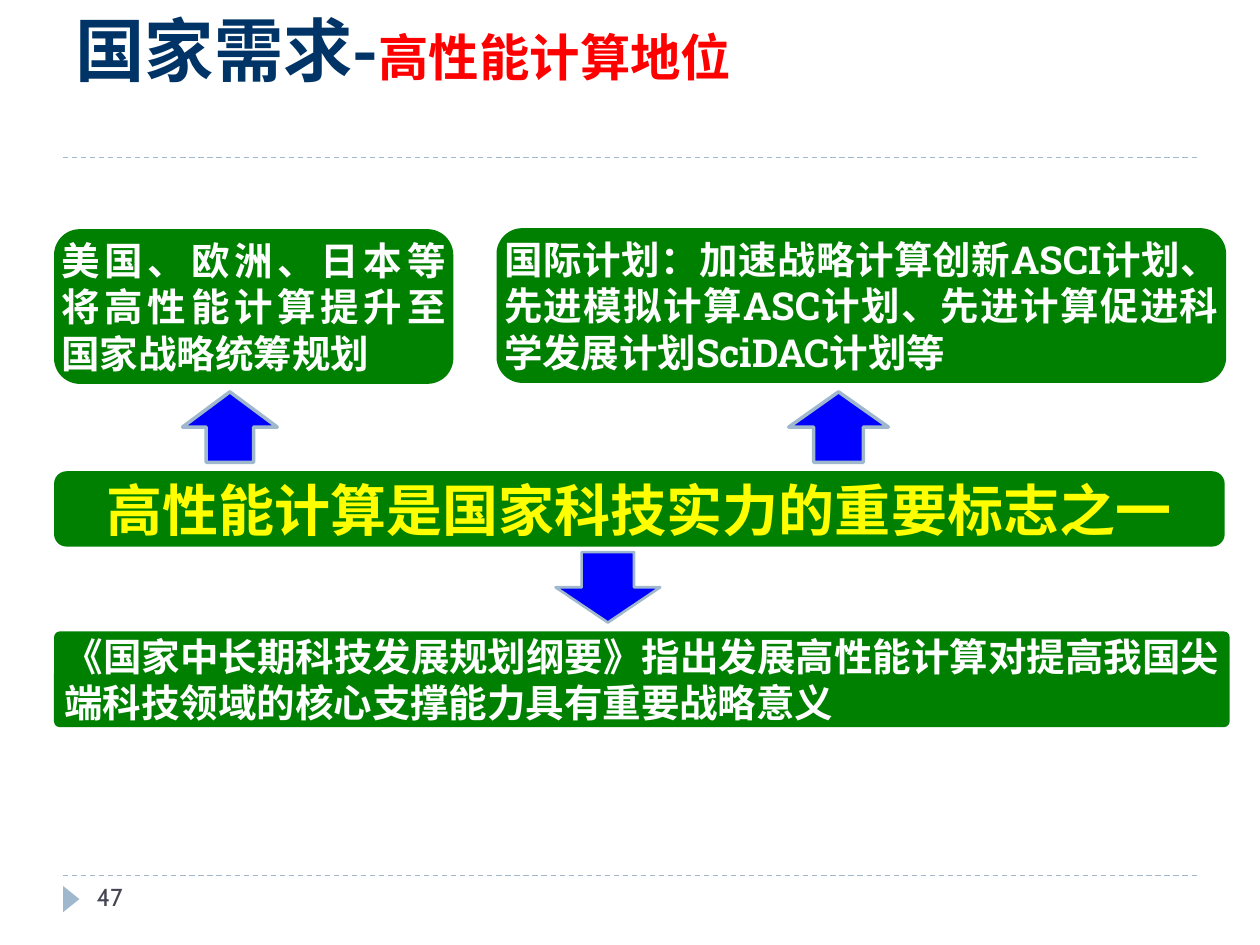
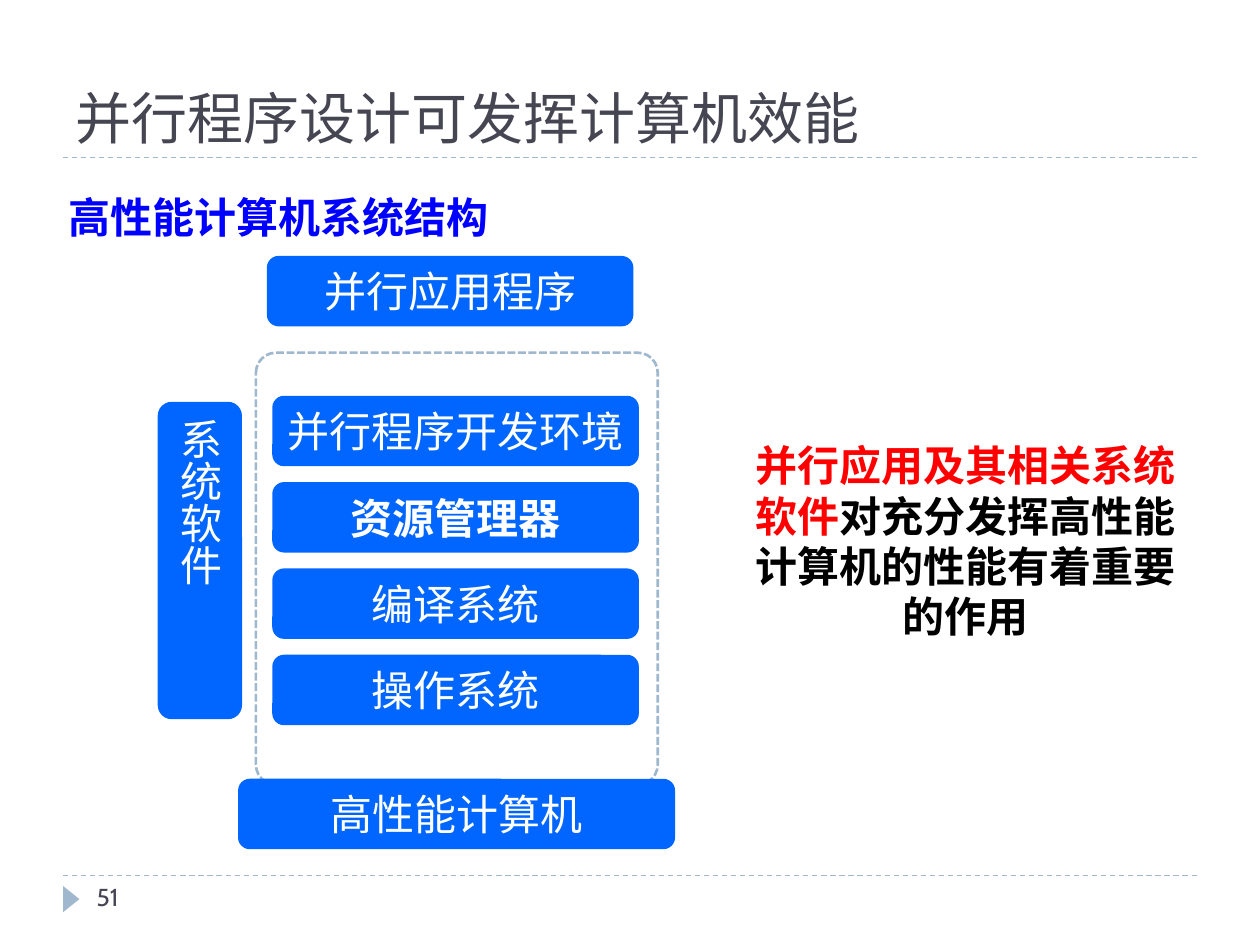
"""Build two slides on the role of high-performance computing."""
from lxml import etree
from pptx import Presentation
from pptx import util as u
from pptx.dml import color
from pptx.enum import dml, shapes, text
from pptx.oxml import ns

CJK, SLAB = "Noto Sans CJK SC", "Roboto Slab"
MIST, INK, GREEN, BLUE = "9FB8CD", "464653", "008000", "0066FF"
PURE_BLUE, RED, WHITE = "0000FF", "FF0000", "FFFFFF"
TITLE_BOX = (1.27, 0.43, 22.86, 2.74)
FOOT_Y, HEAD_Y = 17.65, 3.18
ALIGN, ANCHOR, SHAPE = text.PP_ALIGN, text.MSO_ANCHOR, shapes.MSO_SHAPE
FRAME_FORMAT = {"word_wrap": True, "auto_size": text.MSO_AUTO_SIZE.NONE}
NO_INSET = dict.fromkeys(
    ("margin_left", "margin_top", "margin_right", "margin_bottom"), 0)


def rgb(hex_code):
    """Turn a hex string into a colour."""
    return color.RGBColor.from_string(hex_code)


def cm(values):
    """Turn a row of centimetre values into lengths."""
    return [u.Cm(value) for value in values]


def apply(target, values):
    """Set every attribute named in a dict."""
    for name, value in values.items():
        setattr(target, name, value)


def run(words, size, ink, latin=CJK, bold=False):
    """Describe one stretch of text."""
    return {"words": words, "size": u.Pt(size), "ink": ink,
            "latin": latin, "bold": bold}


def write(frame, runs, align=ALIGN.LEFT, **frame_format):
    """Fill a text frame with one paragraph of runs."""
    apply(frame, FRAME_FORMAT | frame_format)
    paragraph = frame.paragraphs[0]
    paragraph.alignment = align
    paragraph._p.get_or_add_pPr().set("hangingPunct", "0")
    for part in runs:
        piece = paragraph.add_run()
        piece.text = part["words"]
        apply(piece.font, {"name": part["latin"], "size": part["size"],
                           "bold": part["bold"]})
        piece.font.color.rgb = rgb(part["ink"])
        east_asian = etree.SubElement(piece.font._element, ns.qn("a:ea"))
        east_asian.set("typeface", CJK)


def block(slide, kind, box, fill=None, edge=None, weight=0, corner=None):
    """Draw a preset shape."""
    shape = slide.shapes.add_shape(kind, *cm(box))
    shape.shadow.inherit = False
    if fill:
        shape.fill.solid()
        shape.fill.fore_color.rgb = rgb(fill)
    else:
        shape.fill.background()
    if edge:
        shape.line.color.rgb = rgb(edge)
        shape.line.width = u.Pt(weight)
    else:
        shape.line.fill.background()
    if corner is not None:
        shape.adjustments[0] = corner
    return shape


def label(slide, box, runs, align=ALIGN.LEFT):
    """Place free text."""
    write(slide.shapes.add_textbox(*cm(box)).text_frame, runs, align)


def statement(slide, box, runs, align=ALIGN.JUSTIFY, corner=None, inset=0):
    """Draw a green box that holds a statement."""
    panel = block(slide, SHAPE.ROUNDED_RECTANGLE, box, GREEN, corner=corner)
    margins = NO_INSET | {"margin_left": u.Cm(inset),
                          "margin_right": u.Cm(inset)}
    write(panel.text_frame, runs, align, vertical_anchor=ANCHOR.MIDDLE, **margins)


def layer(slide, box, words, bold=False):
    """Draw one blue layer of the system."""
    panel = block(slide, SHAPE.ROUNDED_RECTANGLE, box, BLUE)
    write(panel.text_frame, [run(words, 24, WHITE, bold=bold)], ALIGN.CENTER,
          vertical_anchor=ANCHOR.MIDDLE, word_wrap=False)
    return panel


def rule(slide, y):
    """Draw a dashed line across the slide."""
    line = slide.shapes.add_connector(
        shapes.MSO_CONNECTOR.STRAIGHT, *cm((1.27, y, 24.13, y)))
    line.line.color.rgb = rgb(MIST)
    apply(line.line, {"width": u.Pt(0.75), "dash_style": dml.MSO_LINE.DASH})
    etree.SubElement(line._element.spPr, ns.qn("a:effectLst"))


def start_slide(deck, title_runs, number, title_bottom=0.13):
    """Add a slide with its title, rules, marker and number."""
    slide = deck.slides.add_slide(deck.slide_layouts[5])
    rule(slide, FOOT_Y)
    rule(slide, HEAD_Y)
    marker = block(slide, SHAPE.ISOSCELES_TRIANGLE,
                   (1.17, 17.96, 0.53, 0.33), MIST)
    marker.rotation = 90
    title = slide.shapes.title
    apply(title, dict(zip(("left", "top", "width", "height"), cm(TITLE_BOX))))
    write(title.text_frame, title_runs, vertical_anchor=ANCHOR.BOTTOM,
          margin_top=0, margin_bottom=u.Cm(title_bottom))
    label(slide, (1.7, FOOT_Y, 5.51, 1.02), [run(number, 14, INK, "Cabin")])
    return slide


def national_need(deck):
    """Build the slide on national demand."""
    slide = start_slide(deck, [run("国家需求-", 39.6, "003366", bold=True),
                               run("高性能计算地位", 28.8, RED, bold=True)],
                        "47", title_bottom=1.35)
    statement(slide, (1.09, 4.62, 8.05, 3.12), [
        run("美国、欧洲、日本等将高性能计算提升至国家战略统筹规划",
            22, WHITE, bold=True)])
    programmes = (("国际计划：加速战略计算创新", CJK), ("ASCI", SLAB),
                  ("计划、先进模拟计算", CJK), ("ASC", SLAB),
                  ("计划、先进计算促进科学发展计划", CJK), ("SciDAC", SLAB),
                  ("计划等", CJK))
    statement(slide, (10.01, 4.6, 14.71, 3.12), [
        run(words, 22, WHITE, latin, True) for words, latin in programmes])
    statement(slide, (1.09, 9.5, 23.6, 1.52), [
        run("高性能计算是国家科技实力的重要标志之一", 32, "FFFF00", bold=True)],
        ALIGN.CENTER)
    statement(slide, (1.09, 12.73, 23.7, 1.93), [
        run("《国家中长期科技发展规划纲要》指出发展高性能计算对提高我国"
            "尖端科技领域的核心支撑能力具有重要战略意义",
            22, WHITE, bold=True)], corner=0.06, inset=0.18)
    for kind, x, y, width, weight in (
            (SHAPE.UP_ARROW, 3.68, 7.9, 1.91, 2),
            (SHAPE.UP_ARROW, 15.9, 7.9, 2.01, 2),
            (SHAPE.DOWN_ARROW, 11.2, 11.13, 2.11, 1.5)):
        block(slide, kind, (x, y, width, 1.42), PURE_BLUE, MIST, weight)


def system_structure(deck):
    """Build the slide on the layers of the computer system."""
    slide = start_slide(
        deck, [run("并行程序设计可发挥计算机效能", 32, INK, SLAB)], "51")
    software = block(slide, SHAPE.ROUNDED_RECTANGLE, (5.16, 7.11, 8.1, 8.71),
                     edge=MIST, weight=1.5, corner=0.05)
    software.line.dash_style = dml.MSO_LINE.SQUARE_DOT
    label(slide, (1.14, 3.73, 22.6, 1.27),
          [run("高性能计算机系统结构", 24, PURE_BLUE, "Arial", True)])
    layer(slide, (5.38, 5.16, 7.39, 1.42), "并行应用程序")
    manager = "资源管理器"
    for row, words in enumerate(
            ("并行程序开发环境", manager, "编译系统", "操作系统")):
        layer(slide, (5.49, 7.98 + 1.74 * row, 7.39, 1.42), words,
              bold=words == manager)
    layer(slide, (4.8, 15.7, 8.81, 1.42), "高性能计算机")
    side = layer(slide, (3.18, 8.1, 1.7, 6.4), "系统软件").text_frame
    side.word_wrap = True
    side.paragraphs[0].alignment = ALIGN.LEFT
    side._txBody.bodyPr.set("vert", "eaVert")
    label(slide, (14.81, 8.74, 9.32, 4.37), [
        run("并行应用及其相关系统软件", 24, RED, bold=True),
        run("对充分发挥高性能计算机的性能有着重要的作用",
            24, "000000", bold=True)], ALIGN.CENTER)


def main():
    """Build and save the deck."""
    deck = Presentation()
    apply(deck, {"slide_width": u.Cm(25.4), "slide_height": u.Cm(19.05)})
    national_need(deck)
    system_structure(deck)
    deck.save("out.pptx")


if __name__ == "__main__":
    main()
